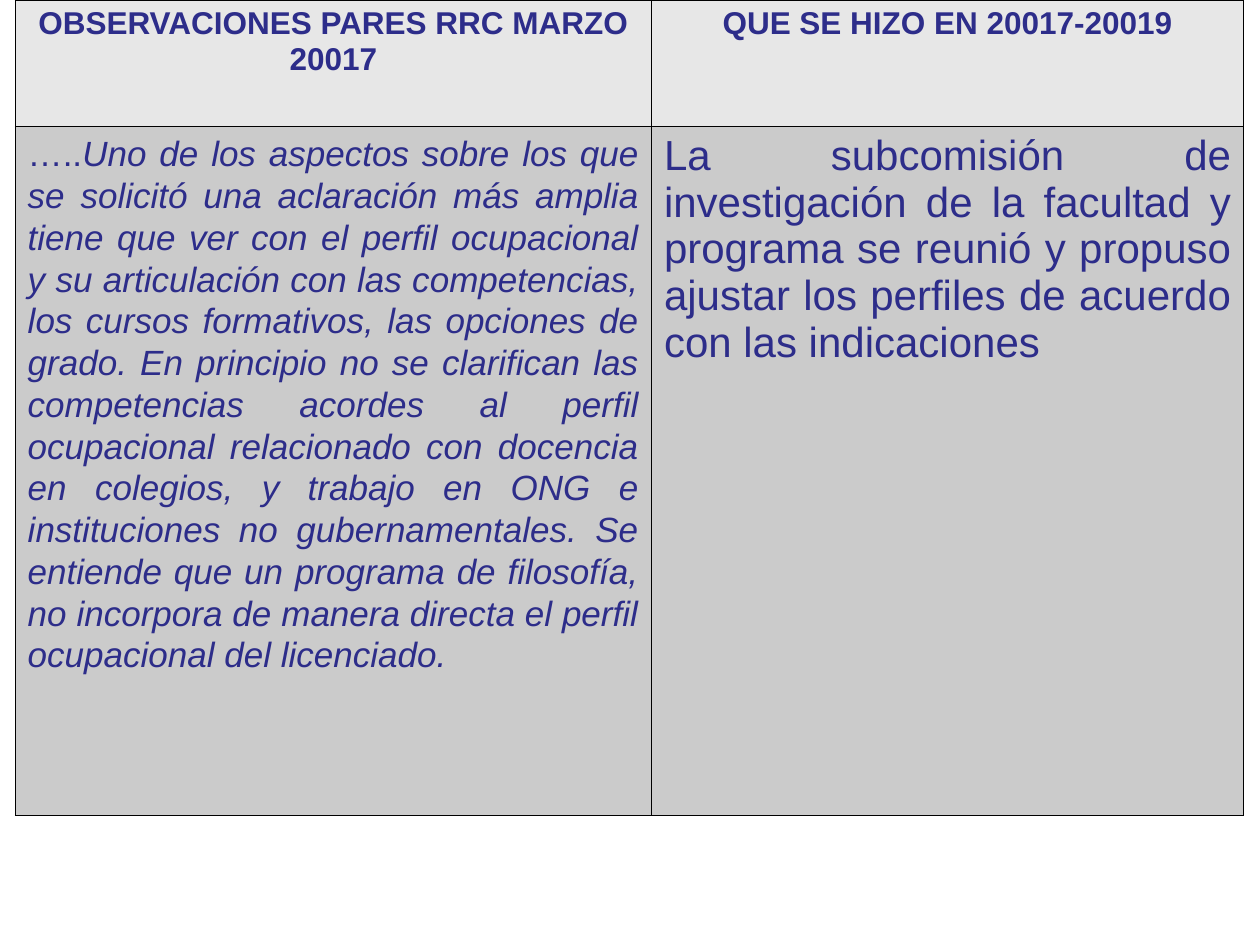
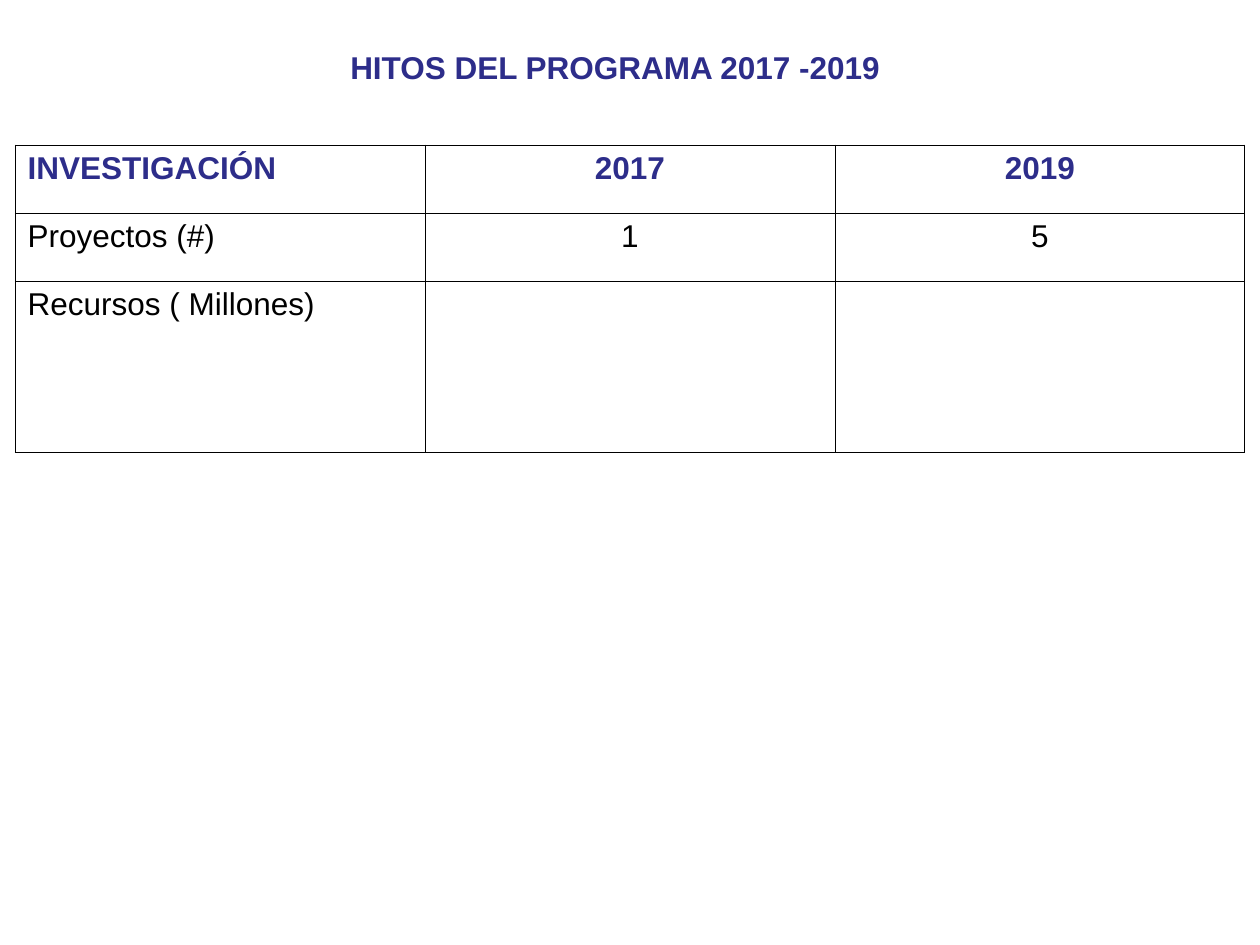
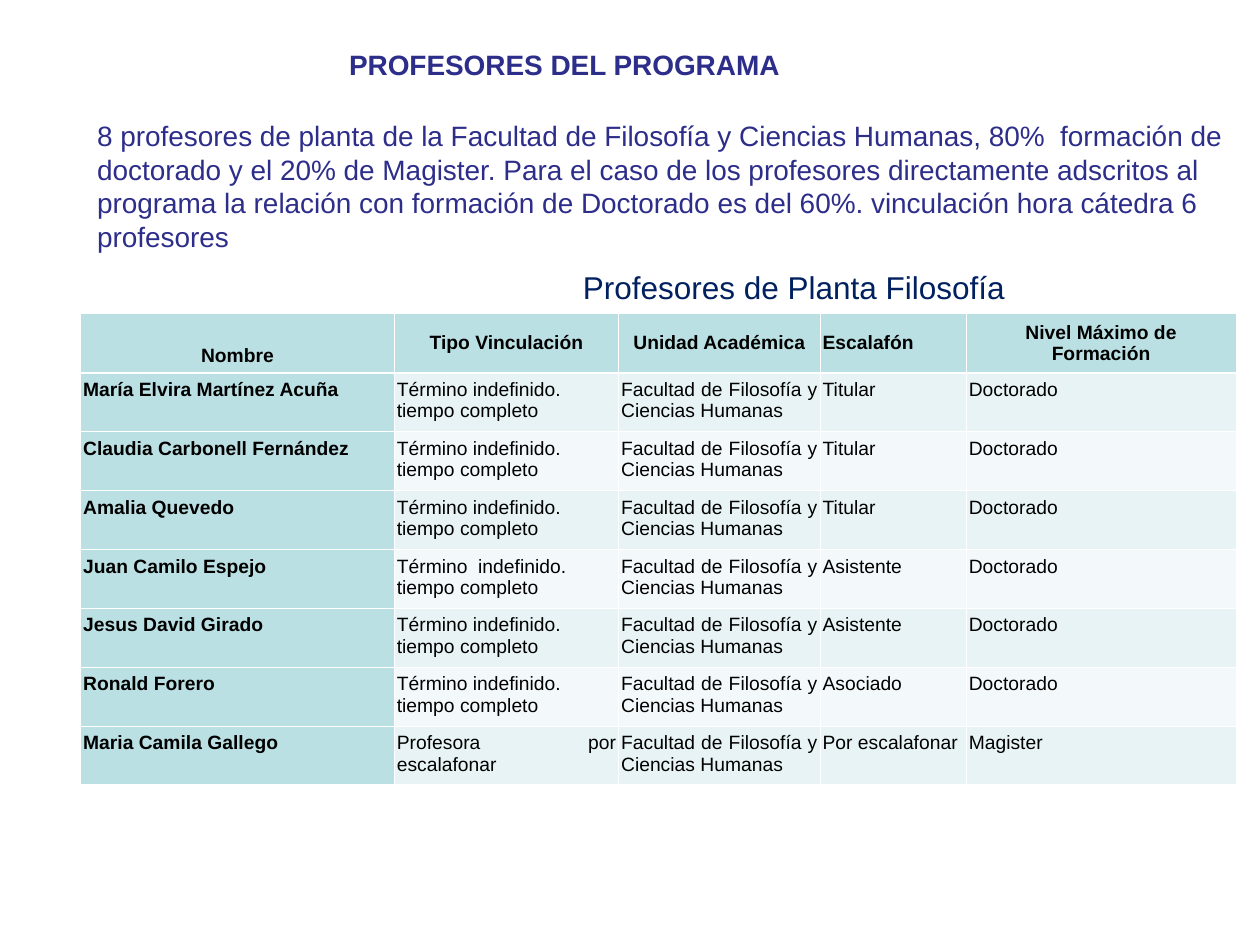
from dataclasses import dataclass

from lxml import etree
from pptx import Presentation
from pptx import util as u
from pptx.dml.color import RGBColor
from pptx.enum import text as t
from pptx.oxml import ns

LEFT, CENTER, JUSTIFY = t.PP_ALIGN.LEFT, t.PP_ALIGN.CENTER, t.PP_ALIGN.JUSTIFY
TOP, MIDDLE, BOTTOM = t.MSO_ANCHOR.TOP, t.MSO_ANCHOR.MIDDLE, t.MSO_ANCHOR.BOTTOM


@dataclass(frozen=True)
class Theme:
    width: float = 10
    height: float = 7.5
    face: str = "Arial"
    indigo: str = "2D2D8A"
    navy: str = "002060"
    black: str = "000000"
    white: str = "FFFFFF"
    head_gray: str = "E7E7E7"
    body_gray: str = "CBCBCB"
    aqua: str = "BBE0E3"
    bands: tuple = ("E7F3F4", "F3F9FA")
    thin: float = 0.45
    thick: float = 1.47
    cell_text: float = 11
    body_text: float = 16
    head_text: float = 18
    note_text: float = 20
    answer_text: float = 24


THEME = Theme()


@dataclass(frozen=True)
class Box:
    left: float
    top: float
    width: float
    height: float

    def place(self, shape):
        for name, value in self.lengths().items():
            setattr(shape, name, value)

    def lengths(self):
        return {
            "left": u.Inches(self.left * THEME.width),
            "top": u.Inches(self.top * THEME.height),
            "width": u.Inches(self.width * THEME.width),
            "height": u.Inches(self.height * THEME.height),
        }


@dataclass(frozen=True)
class Style:
    size: float
    color: str = THEME.indigo
    bold: bool = False
    align: t.PP_ALIGN = LEFT
    anchor: t.MSO_ANCHOR = TOP
    spacing: float = 1.0
    after: float = 0


HEAD = Style(THEME.head_text, bold=True, align=CENTER)
LABEL = Style(THEME.head_text, bold=True)
ENTRY = Style(THEME.head_text, THEME.black)
FIGURE = Style(THEME.head_text, THEME.black, align=CENTER)
NOTE = Style(THEME.note_text, align=JUSTIFY, spacing=1.07, after=8)
ANSWER = Style(THEME.answer_text, align=JUSTIFY)
SUBTITLE = Style(THEME.body_text, bold=True)
BODY = Style(THEME.body_text)
CAPTION = Style(THEME.head_text, THEME.navy, align=CENTER, anchor=BOTTOM)
STAFF_HEAD = Style(THEME.cell_text, THEME.black, True, CENTER, MIDDLE)
STAFF_HEAD_LOW = Style(THEME.cell_text, THEME.black, True, CENTER, BOTTOM)
STAFF_HEAD_LEFT = Style(THEME.cell_text, THEME.black, True, LEFT, MIDDLE)
STAFF_NAME = Style(THEME.cell_text, THEME.black, True, JUSTIFY)
STAFF_ENTRY = Style(THEME.cell_text, THEME.black, False, JUSTIFY)


def write(frame, content, style):
    lines = content.split("\n") if isinstance(content, str) else [content]
    for number, line in enumerate(lines):
        para = frame.add_paragraph() if number else frame.paragraphs[0]
        para_format = {
            "alignment": style.align,
            "line_spacing": style.spacing,
            "space_before": u.Pt(0),
            "space_after": u.Pt(style.after),
        }
        for name, value in para_format.items():
            setattr(para, name, value)
        for words, italic in [(line, False)] if isinstance(line, str) else line:
            span = para.add_run()
            span.text = words
            font_format = {
                "name": THEME.face,
                "size": u.Pt(style.size),
                "bold": style.bold,
                "italic": italic,
            }
            for name, value in font_format.items():
                setattr(span.font, name, value)
            span.font.color.rgb = RGBColor.from_string(style.color)


def text_region(shape, box, content, style, wrap=True, grow=True):
    box.place(shape)
    frame = shape.text_frame
    frame_format = {
        "word_wrap": wrap,
        "auto_size": t.MSO_AUTO_SIZE.SHAPE_TO_FIT_TEXT if grow else t.MSO_AUTO_SIZE.NONE,
        "vertical_anchor": style.anchor,
        "margin_left": u.Inches(0.1),
        "margin_right": u.Inches(0.1),
        "margin_top": u.Inches(0.05),
        "margin_bottom": u.Inches(0.05),
    }
    for name, value in frame_format.items():
        setattr(frame, name, value)
    write(frame, content, style)


def remove_bullets(shape):
    for para in shape.text_frame.paragraphs:
        properties = para._p.get_or_add_pPr()
        for name in ("marL", "indent"):
            properties.set(name, "0")
        etree.SubElement(properties, ns.qn("a:buNone"))


def set_borders(cell, color, widths):
    properties = cell._tc.get_or_add_tcPr()
    for side, width in widths.items():
        line = etree.SubElement(properties, ns.qn(f"a:ln{side}"), w=str(u.Pt(width)))
        paint = etree.SubElement(line, ns.qn("a:solidFill"))
        etree.SubElement(paint, ns.qn("a:srgbClr"), val=color)


def table_region(page, box, columns, rows, cells, line_color, side_margin=0.1, head_rule=THEME.thin):
    lengths = box.lengths()
    table = page.shapes.add_table(len(rows), len(columns), **lengths).table
    table.first_row = table.horz_banding = False
    for column, share in zip(table.columns, columns):
        column.width = int(lengths["width"] * share / sum(columns))
    for row, share in zip(table.rows, rows):
        row.height = int(lengths["height"] * share / sum(rows))
    for r, entries in enumerate(cells):
        for c, (content, style, fill) in enumerate(entries):
            cell = table.cell(r, c)
            widths = {
                "L": THEME.thin,
                "R": THEME.thin,
                "T": head_rule if r == 1 else THEME.thin,
                "B": head_rule if r == 0 else THEME.thin,
            }
            set_borders(cell, line_color, widths)
            if fill:
                cell.fill.solid()
                cell.fill.fore_color.rgb = RGBColor.from_string(fill)
            else:
                cell.fill.background()
            cell_format = {
                "vertical_anchor": style.anchor,
                "margin_left": u.Inches(side_margin),
                "margin_right": u.Inches(side_margin),
                "margin_top": u.Inches(0.05),
                "margin_bottom": u.Inches(0.05),
            }
            for name, value in cell_format.items():
                setattr(cell, name, value)
            if content:
                write(cell.text_frame, content, style)


def observations_page(deck):
    page = deck.slides.add_slide(deck.slide_layouts[6])
    observation = [
        ("…..", False),
        ("Uno de los aspectos sobre los que se solicitó una aclaración más amplia tiene que ver "
         "con el perfil ocupacional y su articulación con las competencias, los cursos formativos, "
         "las opciones de grado. En principio no se clarifican las competencias acordes al perfil "
         "ocupacional relacionado con docencia en colegios, y trabajo en ONG e instituciones no "
         "gubernamentales. Se entiende que un programa de filosofía, no incorpora de manera directa "
         "el perfil ocupacional del licenciado. ", True),
    ]
    answer = ("La subcomisión de investigación de la facultad y programa se reunió y propuso "
              "ajustar los perfiles de acuerdo con las indicaciones ")
    cells = [
        [("OBSERVACIONES PARES RRC MARZO 20017", HEAD, THEME.head_gray),
         ("QUE SE HIZO EN 20017-20019", HEAD, THEME.head_gray)],
        [(observation, NOTE, THEME.body_gray), (answer, ANSWER, THEME.body_gray)],
    ]
    box = Box(0.012, 0, 0.975, 6.47 / THEME.height)
    table_region(page, box, (5.05, 4.7), (1, 5.47), cells, THEME.black)


def milestones_page(deck):
    page = deck.slides.add_slide(deck.slide_layouts[5])
    title_box = Box(0.268, 0.33 / THEME.height, 0.442, 0.4 / THEME.height)
    text_region(page.shapes.title, title_box, "HITOS DEL PROGRAMA 2017 -2019", LABEL, wrap=False)
    records = [
        ("INVESTIGACIÓN", "2017", "2019"),
        ("Proyectos (#)", "1", "5"),
        ("Recursos ( Millones)", "", ""),
    ]
    cells = []
    for r, (label, *figures) in enumerate(records):
        first, other = (ENTRY, FIGURE) if r else (LABEL, HEAD)
        cells.append([(label, first, None)] + [(figure, other, None) for figure in figures])
    box = Box(0.012, 1.15 / THEME.height, 0.976, 2.44 / THEME.height)
    table_region(page, box, (1, 1, 1), (0.54, 0.54, 1.36), cells, THEME.black)


def staff_table(page, box):
    full_time = "Término indefinido.\ntiempo completo"
    faculty = "Facultad de Filosofía y Ciencias Humanas"
    staff = [
        ("María Elvira Martínez Acuña", full_time, "Titular", "Doctorado"),
        ("Claudia Carbonell Fernández", full_time, "Titular", "Doctorado"),
        ("Amalia Quevedo", full_time, "Titular", "Doctorado"),
        ("Juan Camilo Espejo", "Término  indefinido.\ntiempo completo", "Asistente", "Doctorado"),
        ("Jesus David Girado", full_time, "Asistente", "Doctorado"),
        ("Ronald Forero", full_time, "Asociado", "Doctorado"),
        ("Maria Camila Gallego", "Profesora por escalafonar", "Por escalafonar", "Magister"),
    ]
    headings = [
        ("Nombre", STAFF_HEAD_LOW),
        ("Tipo Vinculación", STAFF_HEAD),
        ("Unidad Académica", STAFF_HEAD),
        ("Escalafón", STAFF_HEAD_LEFT),
        ("Nivel Máximo de\nFormación", STAFF_HEAD),
    ]
    cells = [[(heading, style, THEME.aqua) for heading, style in headings]]
    for number, (name, contract, rank, degree) in enumerate(staff):
        band = THEME.bands[number % 2]
        entries = (contract, faculty, rank, degree)
        cells.append([(name, STAFF_NAME, THEME.aqua)] + [(entry, STAFF_ENTRY, band) for entry in entries])
    table_region(page, box, (2.49, 1.78, 1.6, 1.16, 2.14), [1] * len(cells), cells,
                 THEME.white, side_margin=0.02, head_rule=THEME.thick)


def staff_page(deck):
    page = deck.slides.add_slide(deck.slide_layouts[1])
    title_box = Box(0.267, 0.33 / THEME.height, 0.391, 0.37 / THEME.height)
    text_region(page.shapes.title, title_box, "PROFESORES DEL PROGRAMA", SUBTITLE)
    summary = page.placeholders[1]
    summary_box = Box(0.067, 0.89 / THEME.height, 0.917, 1.17 / THEME.height)
    text_region(
        summary, summary_box,
        "8 profesores de planta de la Facultad de Filosofía y Ciencias Humanas, 80%  formación de "
        "doctorado y el 20% de Magister. Para el caso de los profesores directamente adscritos al "
        "programa la relación con formación de Doctorado es del 60%. vinculación hora cátedra 6 "
        "profesores", BODY)
    remove_bullets(summary)
    caption_box = Box(0.319, 1.78 / THEME.height, 0.622, 0.7 / THEME.height)
    caption = page.shapes.add_textbox(**caption_box.lengths())
    text_region(caption, caption_box, "Profesores de Planta Filosofía", CAPTION, grow=False)
    staff_table(page, Box(0.064, 2.49 / THEME.height, 0.917, 3.74 / THEME.height))


def main():
    deck = Presentation()
    deck.slide_width = u.Inches(THEME.width)
    deck.slide_height = u.Inches(THEME.height)
    for build in (observations_page, milestones_page, staff_page):
        build(deck)
    deck.save("out.pptx")


if __name__ == "__main__":
    main()
